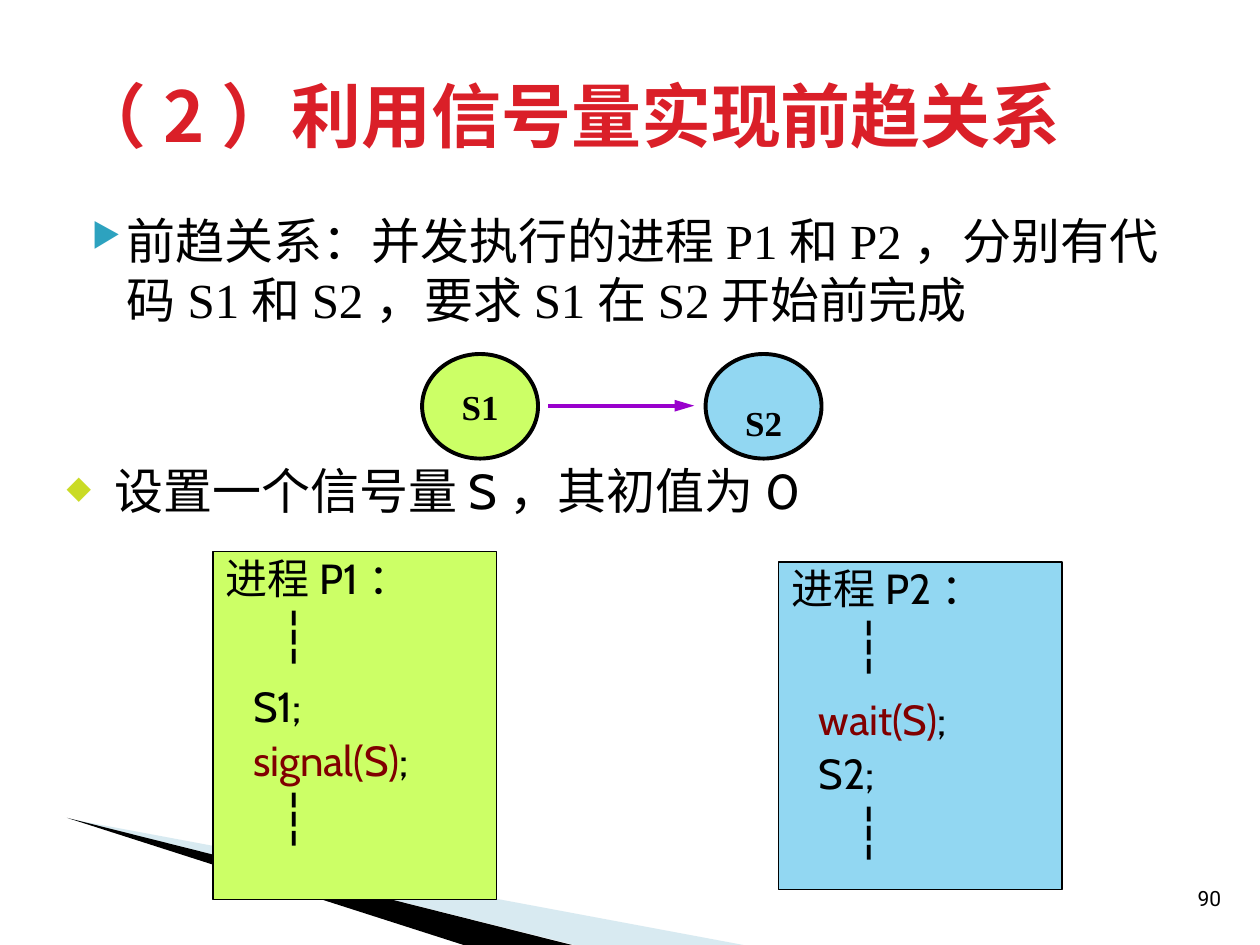
"""Build a slide on enforcing a precedence relation between processes with a semaphore."""
from lxml import etree
from pptx import Presentation
from pptx.dml.color import RGBColor
from pptx.enum.shapes import MSO_CONNECTOR, MSO_SHAPE
from pptx.enum.text import MSO_ANCHOR, PP_ALIGN
from pptx.oxml.ns import qn
from pptx.util import Inches, Pt

OVAL, RECTANGLE = MSO_SHAPE.OVAL, MSO_SHAPE.RECTANGLE
STRAIGHT = MSO_CONNECTOR.STRAIGHT
TOP, MIDDLE, BOTTOM = MSO_ANCHOR.TOP, MSO_ANCHOR.MIDDLE, MSO_ANCHOR.BOTTOM
LEFT, CENTER = PP_ALIGN.LEFT, PP_ALIGN.CENTER

COLORS = {
    "title": "DA1F28", "text": "000000", "call": "800000", "arrow": "9900CC",
    "first": "CCFF66", "second": "92D7F2", "wedge": "9FCBDC",
    "triangle": "2DA2BF", "diamond": "CADB25",
}
CJK = "Noto Sans CJK SC"


def color(name):
    return RGBColor.from_string(COLORS[name])


def write(paragraph, text, size=24, font="Cabin", ink="text", bold=False):
    run = paragraph.add_run()
    run.text = text
    run.font.size = Pt(size)
    run.font.name = font
    run.font.bold = bold
    run.font.color.rgb = color(ink)
    etree.SubElement(run.font._element, qn("a:ea"), typeface=CJK)


prs = Presentation()
prs.slide_width, prs.slide_height = Inches(10), Inches(7.5)
slide = prs.slides.add_slide(prs.slide_layouts[5])
shapes = slide.shapes

wedges = [
    ("wedge", [(0.55, 6.5), (5.9, 7.5), (4.56, 7.5)]),
    ("text", [(0.53, 6.49), (4.54, 7.5), (3.68, 7.5)]),
]
for fill, corners in wedges:
    points = [(Inches(x), Inches(y)) for x, y in corners]
    builder = shapes.build_freeform(*points[0])
    builder.add_line_segments(points[1:], close=True)
    wedge = builder.convert_to_shape()
    wedge.shadow.inherit = False
    wedge.fill.solid()
    wedge.fill.fore_color.rgb = color(fill)
    wedge.line.fill.background()
    if fill == "wedge":
        tint = wedge._element.spPr.find(qn("a:solidFill"))[0]
        etree.SubElement(tint, qn("a:alpha"), val="40000")

title = shapes.title
title.left, title.top = Inches(0.51), Inches(0.28)
title.width, title.height = Inches(9), Inches(1.25)
title.text_frame.vertical_anchor = MIDDLE
heading = title.text_frame.paragraphs[0]
heading.alignment = LEFT
write(heading, "（2）利用信号量实现前趋关系", size=40, font=CJK, ink="title", bold=True)

points = [
    ("前趋关系：并发执行的进程P1和P2，分别有代码S1和S2，要求S1在S2开始前完成",
     "Times New Roman", (0.51, 1.62, 9, 1.32), (0.4, 0.28), 1, "▶", "triangle", 68),
    ("设置一个信号量S，其初值为0",
     "Cabin", (0.43, 3.66, 9.32, 0.72), (0.38, 0.38), 0.9, "◆", "diamond", 65),
]
for text, font, box, (margin, hanging), spacing, mark, mark_color, mark_size in points:
    frame = shapes.add_textbox(*map(Inches, box)).text_frame
    frame.word_wrap = True
    point = frame.paragraphs[0]
    props = point._p.get_or_add_pPr()
    props.set("marL", str(Inches(margin)))
    props.set("indent", str(-Inches(hanging)))
    tint = etree.SubElement(props, qn("a:buClr"))
    etree.SubElement(tint, qn("a:srgbClr"), val=COLORS[mark_color])
    etree.SubElement(props, qn("a:buSzPct"), val=str(mark_size * 1000))
    etree.SubElement(props, qn("a:buChar"), char=mark)
    point.line_spacing = spacing
    write(point, text, size=28, font=font)

ellipsis = "┆"
nodes = [("S1", 3.35, "first", MIDDLE), ("S2", 5.6, "second", BOTTOM)]
processes = [
    (1.69, 4.38, 2.76, "first", 0.43, [
        ("进程P1：", "", 0), (ellipsis, "", 5), ("S1", ";", 12),
        ("signal(S)", ";", 5), (ellipsis, "", 5)]),
    (6.18, 4.46, 2.6, "second", 0.5, [
        ("进程P2：", "", 0), (ellipsis, "", 5), ("wait(S)", ";", 14),
        ("S2", ";", 5), (ellipsis, "", 5)]),
]
blocks = [(OVAL, (left, 2.81, 0.92, 0.83), fill, 2.25) for _, left, fill, _ in nodes]
blocks += [(RECTANGLE, (left, top, 2.25, height), fill, 0.75)
           for left, top, height, fill, _, _ in processes]
frames = []
for kind, box, fill, weight in blocks:
    block = shapes.add_shape(kind, *map(Inches, box))
    block.shadow.inherit = False
    block.fill.solid()
    block.fill.fore_color.rgb = color(fill)
    block.line.color.rgb = color("text")
    block.line.width = Pt(weight)
    frames.append(block.text_frame)

for frame, (label, _, _, anchor) in zip(frames[:2], nodes):
    frame.margin_left = frame.margin_right = frame.margin_top = frame.margin_bottom = 0
    frame.vertical_anchor = anchor
    frame.paragraphs[0].alignment = CENTER
    write(frame.paragraphs[0], label, size=20, font="Times New Roman", bold=True)

arrow = shapes.add_connector(STRAIGHT, Inches(4.35), Inches(3.22), Inches(5.51), Inches(3.22))
arrow.line.color.rgb = color("arrow")
arrow.line.width = Pt(2.25)
etree.SubElement(arrow.line._get_or_add_ln(), qn("a:tailEnd"), type="triangle", w="med", len="lg")
etree.SubElement(arrow._element.spPr, qn("a:effectLst"))

for frame, (_, _, _, _, dots_indent, steps) in zip(frames[2:], processes):
    frame.vertical_anchor = TOP
    for row, (code, ending, gap) in enumerate(steps):
        step = frame.add_paragraph() if row else frame.paragraphs[0]
        indent = dots_indent if code == ellipsis else 0.22 if row else 0
        step._p.get_or_add_pPr().set("marL", str(Inches(indent)))
        step.alignment = LEFT
        step.line_spacing = 0.9
        step.space_before = Pt(gap)
        write(step, code, size=28 if code == ellipsis else 24,
              ink="call" if "(" in code else "text")
        if ending:
            write(step, ending)

number = shapes.add_textbox(Inches(9.4), Inches(6.98), Inches(0.4), Inches(0.3)).text_frame
number.vertical_anchor = MIDDLE
number.paragraphs[0].alignment = CENTER
write(number.paragraphs[0], "90", size=12, font="Roboto")

prs.save("out.pptx")
